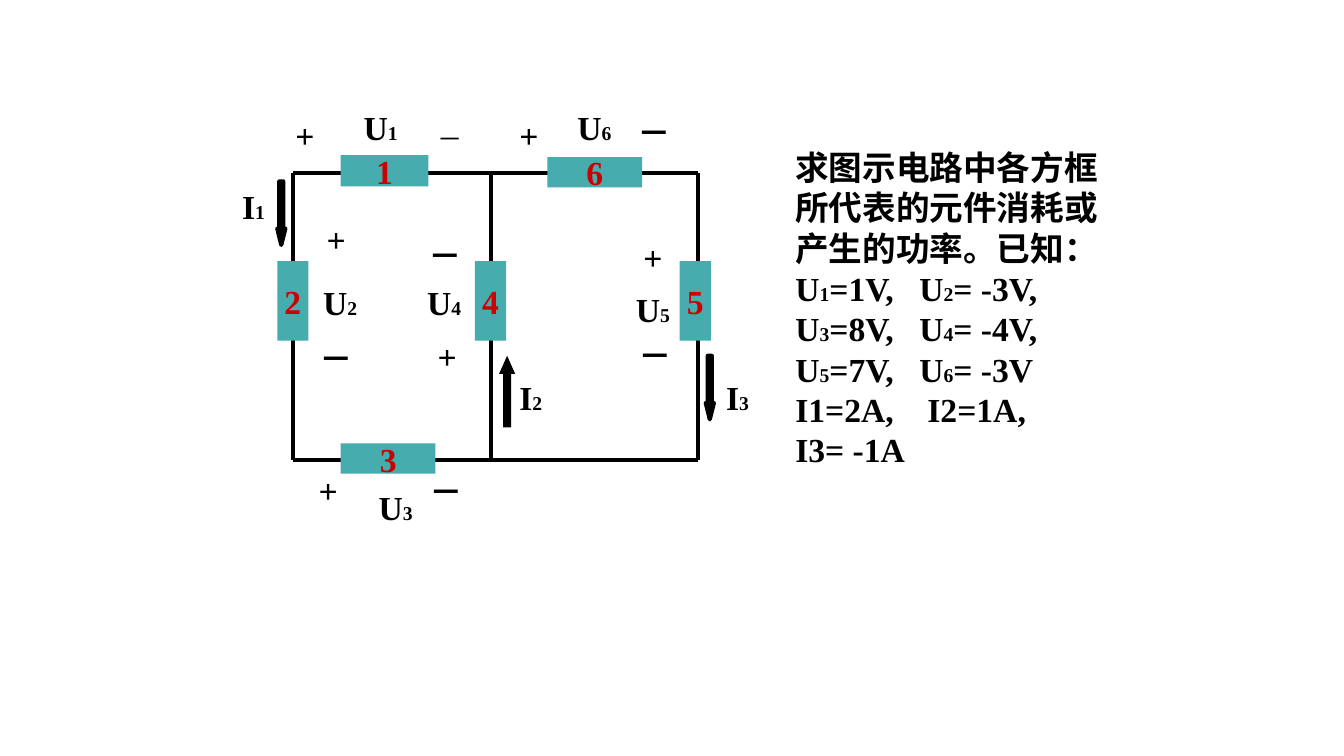
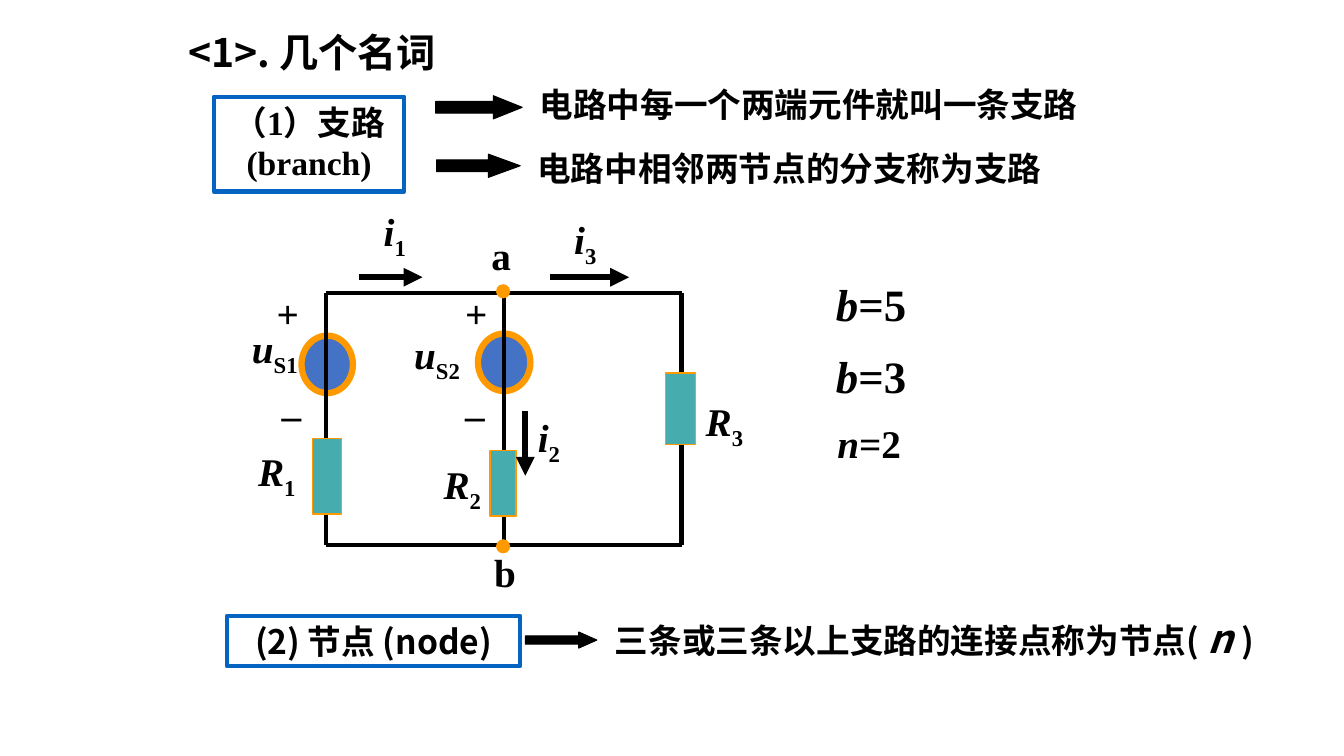
from lxml import etree
from pptx import Presentation
from pptx import util as u
from pptx.dml.color import RGBColor
from pptx.enum import shapes, text
from pptx.oxml.ns import qn

PX = 9144
KIND = shapes.MSO_SHAPE
ALIGN = text.PP_ALIGN
ANCHOR = text.MSO_ANCHOR


def px(*lengths):
    return [u.Emu(length * PX) for length in lengths]


def color(value):
    return RGBColor.from_string(value)


def assign(target, values):
    for name, value in values.items():
        setattr(target, name, value)


class Board:
    BLACK = "000000"
    TEAL = "46ACAE"
    RED = "CC0000"
    ORANGE = "FF9900"
    BLUE = "4472C4"
    FRAME = "0563C1"
    LATIN = "Times New Roman"
    CHINESE = "Noto Sans CJK SC"

    def __init__(self):
        self.presentation = Presentation()
        assign(self.presentation, {"slide_width": px(1333)[0], "slide_height": px(750)[0]})
        self.slide = None

    def new_slide(self):
        layout = self.presentation.slide_layouts[6]
        self.slide = self.presentation.slides.add_slide(layout)

    def fill_text(self, shape, paragraphs, align=ALIGN.CENTER, anchor=ANCHOR.TOP,
                  wrap=True, tabs=(), **style):
        frame = shape.text_frame
        assign(frame, {"word_wrap": wrap, "vertical_anchor": anchor})
        for index, runs in enumerate(paragraphs):
            paragraph = frame.add_paragraph() if index else frame.paragraphs[0]
            paragraph.alignment = align
            if index < len(tabs) and tabs[index]:
                tab_list = etree.SubElement(paragraph._p.get_or_add_pPr(), qn("a:tabLst"))
                etree.SubElement(tab_list, qn("a:tab"), pos=str(tabs[index] * PX), algn="l")
            for content, changes in runs:
                self.add_text_run(paragraph, content, {**style, **changes})

    def add_text_run(self, paragraph, content, changes):
        values = {"size": 24, "bold": True, "italic": False, "name": self.LATIN,
                  "ink": self.BLACK, "baseline": 0, **changes}
        ink, baseline = values.pop("ink"), values.pop("baseline")
        values["size"] = u.Pt(values["size"])
        run = paragraph.add_run()
        run.text = content
        assign(run.font, values)
        run.font.color.rgb = color(ink)
        properties = run._r.get_or_add_rPr()
        if baseline:
            properties.set("baseline", str(baseline * 1000))
        etree.SubElement(properties, qn("a:ea"), typeface=self.CHINESE)

    def label(self, box, *paragraphs, **style):
        self.fill_text(self.slide.shapes.add_textbox(*px(*box)), paragraphs, **style)

    def shape(self, kind, box, fill=None, line=None, width=1, adjust=()):
        shape = self.slide.shapes.add_shape(kind, *px(*box))
        shape.shadow.inherit = False
        for index, value in enumerate(adjust):
            shape.adjustments[index] = value
        if fill:
            shape.fill.solid()
            shape.fill.fore_color.rgb = color(fill)
        else:
            shape.fill.background()
        if line:
            shape.line.color.rgb = color(line)
            shape.line.width = u.Pt(width)
        else:
            shape.line.fill.background()
        return shape

    def wire(self, start, end, width=3, arrow=False):
        connector = self.slide.shapes.add_connector(
            shapes.MSO_CONNECTOR.STRAIGHT, *px(*start, *end))
        connector.line.color.rgb = color(self.BLACK)
        connector.line.width = u.Pt(width)
        if arrow:
            outline = connector._element.spPr.find(qn("a:ln"))
            etree.SubElement(outline, qn("a:tailEnd"), type="triangle")
        etree.SubElement(connector._element.spPr, qn("a:effectLst"))

    def circuit(self, left, middle, right, top, bottom):
        for y in (top, bottom):
            self.wire((left, y), (right, y))
        for x in (left, middle, right):
            self.wire((x, top), (x, bottom))

    def block_arrow(self, kind, box, head, width=0):
        self.shape(kind, box, self.BLACK, self.BLACK if width else None, width, (0.5, head))


def plain(content):
    return [(content, {})]


def small_index(letter, index):
    return [(letter, {}), (index, {"size": 14})]


def symbol(letter, index):
    return [(letter, {"italic": True}), (index, {"baseline": -25})]


def build_power_slide(board):
    board.new_slide()
    board.circuit(291, 487, 692, 172, 456)

    for number, box in (("1", (338, 154, 87, 31)), ("2", (275, 259, 31, 79)),
                        ("3", (338, 440, 94, 30)), ("4", (471, 259, 31, 79)),
                        ("5", (674, 259, 31, 79)), ("6", (543, 156, 94, 30))):
        element = board.shape(KIND.RECTANGLE, box, board.TEAL)
        board.fill_text(element, [plain(number)], anchor=ANCHOR.MIDDLE, wrap=False,
                        ink=board.RED)

    for left, top in ((275, 180), (700, 353)):
        board.block_arrow(KIND.DOWN_ARROW, (left, top, 8, 63), 2.017, 3)
    board.block_arrow(KIND.UP_ARROW, (495, 353, 16, 71), 1.121)

    for letter, index, left, top, width in (
            ("I", "1", 220, 180, 63), ("I", "2", 495, 369, 63), ("I", "3", 708, 369, 47),
            ("U", "1", 346, 101, 63), ("U", "2", 306, 275, 63), ("U", "3", 361, 478, 63),
            ("U", "4", 409, 275, 63), ("U", "5", 616, 282, 63), ("U", "6", 558, 101, 63)):
        board.label((left, top, width, 50), small_index(letter, index))

    signs = {"+": ((416, 328), (298, 461), (306, 212), (275, 109), (497, 109), (620, 230)),
             "－": ((306, 330), (415, 462), (621, 106), (622, 327), (414, 228))}
    for sign, places in signs.items():
        for left, top in places:
            board.label((left, top, 55, 50), plain(sign))
    board.label((424, 117, 63, 40), plain("－"), align=ALIGN.LEFT,
                size=18, bold=False, name="Arial")

    voltages = [small_index("U", first) + plain(f"={value},\t") + small_index("U", second)
                + plain(f"= {other}")
                for first, value, second, other in (("1", "1V", "2", "-3V,"),
                                                    ("3", "8V", "4", "-4V,"),
                                                    ("5", "7V", "6", "-3V"))]
    board.label((779, 141, 347, 333),
                plain("求图示电路中各方框所代表的元件消耗或产生的功率。已知："), *voltages,
                plain("I1=2A,\tI2=1A,"), plain("I3= -1A"),
                align=ALIGN.LEFT, tabs=(0, 123, 123, 123, 131))


def build_terms_slide(board):
    board.new_slide()
    middle = {"anchor": ANCHOR.MIDDLE}
    chinese = {"name": board.CHINESE, **middle}
    board.label((149, 23, 321, 57), plain("<1>. 几个名词"), size=28, **chinese)

    branch = board.shape(KIND.RECTANGLE, (212, 96, 189, 94), None, board.FRAME, 3)
    board.fill_text(branch, [plain("（1）支路 (branch)")])
    node = board.shape(KIND.RECTANGLE, (225, 611, 291, 50), None, board.FRAME, 3)
    board.fill_text(node, [plain("(2) 节点 (node)")], **chinese)
    for box, head in (((432, 95, 86, 23), 1.247), ((433, 153, 83, 23), 1.371),
                      ((521, 627, 71, 16), 1.121)):
        board.block_arrow(KIND.RIGHT_ARROW, box, head, 0.75)

    board.label((505, 78, 594, 50), plain("电路中每一个两端元件就叫一条支路"))
    board.label((523, 142, 726, 50), plain("电路中相邻两节点的分支称为支路"),
                align=ALIGN.LEFT, **middle)
    board.label((600, 604, 685, 57),
                [("三条或三条以上支路的连接点称为节点(", {}), (" ", {"size": 28}),
                 ("n ", {"size": 28, "italic": True}), (")", {})],
                align=ALIGN.LEFT, **chinese)

    for box in ((299, 333, 51, 57), (474, 331, 52, 57)):
        board.shape(KIND.OVAL, box, board.BLUE, board.ORANGE, 4.5)
    board.circuit(323, 500, 676, 291, 541)
    for box in ((310, 435, 29, 75), (486, 447, 26, 65), (660, 370, 30, 71)):
        board.shape(KIND.RECTANGLE, box, board.TEAL, board.ORANGE)
    for top in (282, 535):
        board.shape(KIND.OVAL, (492, top, 14, 14), board.ORANGE)

    for start, end in (((356, 275), (419, 275)), ((521, 408), (521, 472)),
                       ((545, 275), (624, 275))):
        board.wire(start, end, 4.5, True)

    for letter, index, left, top, width in (
            ("R", "1", 227, 442, 95), ("R", "2", 411, 455, 95), ("R", "3", 671, 392, 95),
            ("u", "S1", 225, 320, 95), ("u", "S2", 386, 326, 95),
            ("i", "1", 364, 204, 55), ("i", "2", 521, 408, 47), ("i", "3", 553, 212, 55)):
        board.label((left, top, width, 57), symbol(letter, index), size=28, **middle)

    for name, left, top, width in (("a", 475, 224, 44), ("b", 475, 539, 52),
                                   ("+", 264, 282, 43), ("+", 451, 282, 43),
                                   ("_", 269, 369, 40), ("_", 451, 369, 40)):
        board.label((left, top, width, 57), plain(name), size=28, wrap=False, **middle)

    for letter, value, size, box in (("b", "=5", 32, (819, 270, 90, 63)),
                                     ("b", "=3", 32, (819, 341, 90, 63)),
                                     ("n", "=2", 28, (820, 411, 84, 57))):
        board.label(box, [(letter, {"italic": True}), (value, {})],
                    size=size, wrap=False, **middle)


def main():
    board = Board()
    build_power_slide(board)
    build_terms_slide(board)
    board.presentation.save("out.pptx")


if __name__ == "__main__":
    main()
